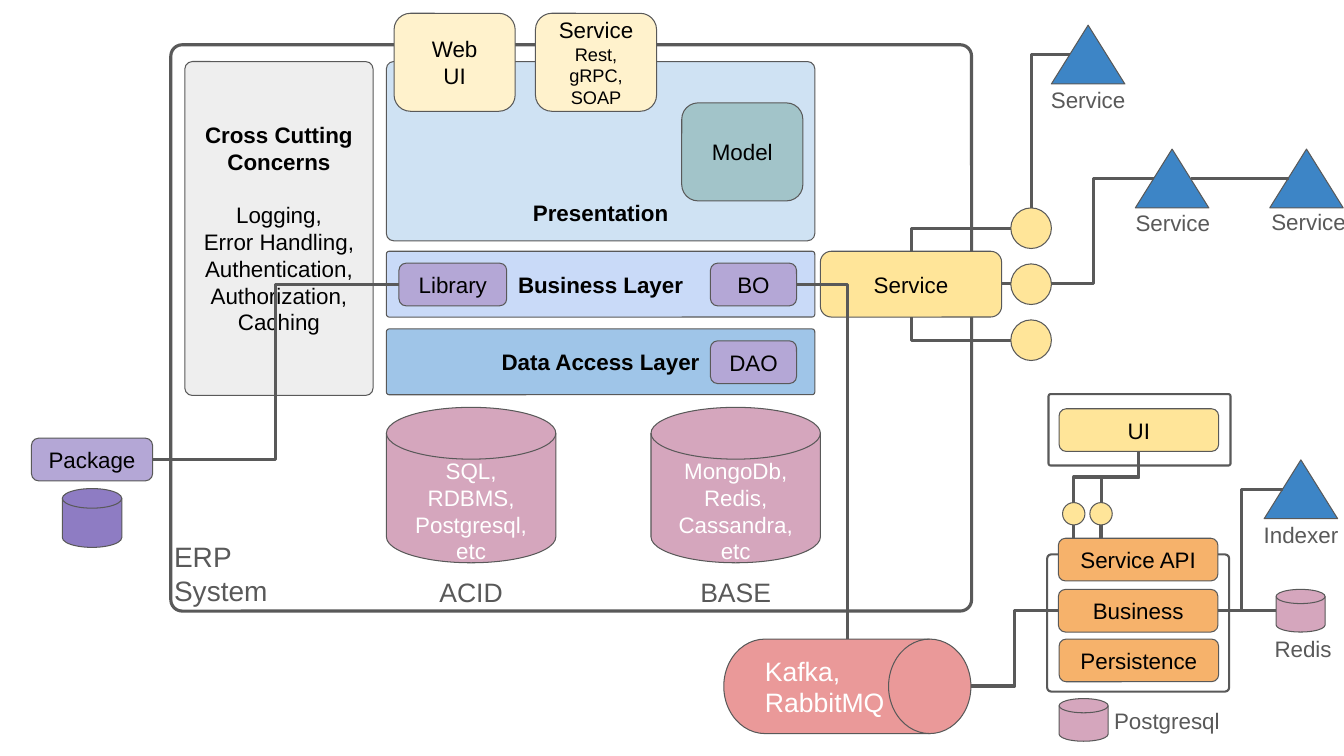
from lxml.etree import SubElement
from pptx import Presentation
from pptx.dml.color import RGBColor
from pptx.enum.shapes import MSO_CONNECTOR as Conn, MSO_SHAPE as Shape
from pptx.enum.text import MSO_ANCHOR as Anchor, PP_ALIGN as Align
from pptx.oxml.ns import qn
from pptx.util import Pt

COLORS = {
    "white": "FFFFFF", "black": "000000", "gray": "595959", "concern": "EEEEEE",
    "presentation": "CFE2F3", "business": "C9DAF8", "data": "9FC5E8",
    "cream": "FFF2CC", "yellow": "FFE599", "teal": "A2C4C9", "lilac": "B4A7D6",
    "purple": "8E7CC3", "pink": "D5A6BD", "red": "EA9999", "orange": "F6B26B",
    "blue": "3D85C6",
}
FONT = "Arial"
INSET = 9.36
BOX, DISK, TRIANGLE = Shape.ROUNDED_RECTANGLE, Shape.FLOWCHART_MAGNETIC_DISK, Shape.FLOWCHART_EXTRACT

PANELS = [
    (749, 281.5, 130, 51, "white", 0.03, 1.5, []),
    (748, 396, 130, 98, "white", 0.03, 1.5, []),
    (122, 32, 572, 404.5, "white", 0.02, 2.25, []),
    (276, 44, 306, 128, "presentation", 0.04, 0.75, [("Presentation", 16, True)]),
    (132, 44, 134.5, 238.5, "concern", 0.04, 0.75, [
        ("Cross Cutting Concerns", 16, True), ("Logging,", 16, False, 18.4),
        "Error Handling,", "Authentication,", "Authorization,", "Caching"]),
    (276, 179.5, 306, 47, "business", 0.04, 0.75, [("Business Layer", 16, True)]),
    (276, 235, 306, 47, "data", 0.04, 0.75, [("Data Access Layer", 16, True)]),
]
TILES = [
    (281.5, 9.5, "cream", ["Web", "UI"]),
    (382.5, 9.5, "cream", ["Service", ("Rest, gRPC,", 13, False), ("SOAP", 13, False)]),
    (487, 73.5, "teal", ["Model"]),
]
BUTTONS = [
    (22.5, 313, 86.5, "lilac", "Package"), (285, 188, 77, "lilac", "Library"),
    (507.5, 188, 61.5, "lilac", "BO"), (507.5, 243.5, 61.5, "lilac", "DAO"),
    (756.5, 292, 114, "yellow", "UI"), (756, 384.5, 114, "orange", "Service API"),
    (756, 421, 114, "orange", "Business"), (756.5, 456.5, 114, "orange", "Persistence"),
]
DATABASES = [
    (276, "ACID", ["SQL,", "RDBMS,", "Postgresql,", "etc"]),
    (465, "BASE", ["MongoDb,", "Redis,", "Cassandra,", "etc"]),
]
SMALL_DISKS = [
    (44.5, 349, 42.5, 42, "purple"), (756.5, 499, 35, 30.5, "pink"), (911.5, 421, 35, 30.5, "pink"),
]
CIRCLES = [(722, 148.5 + 40 * i, 29) for i in range(3)] + [(759, 359, 16), (778.5, 359, 16)]
TRIANGLES = [(811, 106.5), (751, 18), (907, 106.5), (903, 328.5)]
LABELS = [
    (783.5, 147.5, 108.5, 23, 2, "Service"), (723, 52.5, 108.5, 39, INSET, "Service"),
    (880.5, 146.5, 108.5, 23, 2, "Service"), (896.5, 453.5, 68.5, 19.5, 0, "Redis"),
    (895, 372, 68.5, 19.5, 0, "Indexer"), (795, 505, 77, 19.5, 0, "Postgresql"),
]
STRAIGHT = [
    (715.5, 202.5, 722, 202.5), (911.5, 436, 870, 436), (920.5, 127.5, 850.5, 127.5),
    (767, 375, 767, 384.5), (786.5, 375, 786.5, 384.5),
]
CORNERS = [
    (722, 163, 651, 179.5), (722, 243, 651, 226.5),
    (764, 39, 737, 148.5), (569, 203, 605.5, 456.5),
]
STEPS = [
    (285, 203, 109, 328.5, 0.5), (693.5, 490, 756, 436, 0.5),
    (751, 202.5, 824, 127.5, 0.41), (916.5, 349.5, 870, 436, 0.64),
]
RISERS = [(767, 359, 813.5, 322.5), (786.5, 359, 813.5, 322.5)]

prs = Presentation()
prs.slide_width, prs.slide_height = Pt(960), Pt(540)
s = prs.slides.add_slide(prs.slide_layouts[6])


def rgb(name):
    return RGBColor.from_string(COLORS[name])


def write(sp, lines, color="black", size=16, align=Align.CENTER,
          anchor=Anchor.MIDDLE, inset=INSET, top=None):
    tf = sp.text_frame
    tf.word_wrap = True
    tf.vertical_anchor = anchor
    tf.margin_left = tf.margin_right = tf.margin_bottom = Pt(inset)
    tf.margin_top = Pt(inset if top is None else top)
    for i, line in enumerate(lines):
        text, pts, bold, *gap = (line, size, False) if isinstance(line, str) else line
        p = tf.paragraphs[0] if i == 0 else tf.add_paragraph()
        p.alignment = align
        if gap:
            p.space_before = Pt(gap[0])
        r = p.add_run()
        r.text = text
        r.font.name, r.font.size, r.font.bold = FONT, Pt(pts), bold
        r.font.color.rgb = rgb(color)


def draw(kind, x, y, w, h, fill, width=0.75):
    sp = s.shapes.add_shape(kind, Pt(x), Pt(y), Pt(w), Pt(h))
    sp.shadow.inherit = False
    sp.fill.solid()
    sp.fill.fore_color.rgb = rgb(fill)
    sp.line.color.rgb = rgb("gray")
    sp.line.width = Pt(width)
    return sp


def label(x, y, w, h, lines, **style):
    box = s.shapes.add_textbox(Pt(x), Pt(y), Pt(w), Pt(h))
    write(box, lines, "gray", anchor=Anchor.TOP, **style)


def connect(x1, y1, x2, y2, kind=Conn.ELBOW):
    line = s.shapes.add_connector(kind, Pt(x1), Pt(y1), Pt(x2), Pt(y2))
    line.line.color.rgb = rgb("gray")
    line.line.width = Pt(2.25)
    pr = line._element.spPr
    SubElement(pr, qn("a:effectLst"))
    return pr


for x, y, w, h, fill, radius, width, lines in PANELS:
    sp = draw(BOX, x, y, w, h, fill, width)
    sp.adjustments[0] = radius
    if lines:
        write(sp, lines, anchor=Anchor.BOTTOM if fill == "presentation" else Anchor.MIDDLE)
for x, y, fill, lines in TILES:
    write(draw(BOX, x, y, 86.5, 70, fill), lines)
write(draw(BOX, 586, 179.5, 129.5, 47, "yellow"), ["Service"])
for x, title, lines in DATABASES:
    write(draw(DISK, x, 291, 121, 111, "pink"), lines, "white", top=27.5)
    label(x + 17.25, 402, 86.5, 42.5, [title], size=19)
label(115, 376, 86.5, 67.5, ["ERP", "System"], size=20, align=Align.LEFT)
for x, y, w, fill, text in BUTTONS:
    write(draw(BOX, x, y, w, 30.5, fill), [text])
for disk in SMALL_DISKS:
    draw(DISK, *disk)
for x, y, size in CIRCLES:
    draw(Shape.OVAL, x, y, size, size, "yellow")
for x, y in TRIANGLES:
    draw(TRIANGLE, x, y, 52.5, 42, "blue")
queue = draw(Shape.FLOWCHART_DIRECT_ACCESS_STORAGE, 517, 456.5, 176.5, 67.5, "red")
write(queue, ["Kafka,", "RabbitMQ"], "white", 19, Align.LEFT, inset=0)
for x, y, w, h, inset, text in LABELS:
    label(x, y, w, h, [text], inset=inset)

for ends in STRAIGHT:
    connect(*ends, Conn.STRAIGHT)
for ends in CORNERS:
    connect(*ends).find(qn("a:prstGeom")).set("prst", "bentConnector2")
for *ends, bend in STEPS:
    guides = connect(*ends).find(qn("a:prstGeom")).find(qn("a:avLst"))
    SubElement(guides, qn("a:gd"), name="adj1", fmla=f"val {round(bend * 100000)}")
for x1, y1, x2, y2 in RISERS:
    cx, cy = (x1 + x2) / 2, (y1 + y2) / 2
    dx, dy = (x2 - x1) / 2, (y1 - y2) / 2
    pr = connect(cx - dy, cy - dx, cx + dy, cy + dx)
    pr.find(qn("a:xfrm")).set("rot", str(270 * 60000))

prs.save("out.pptx")
